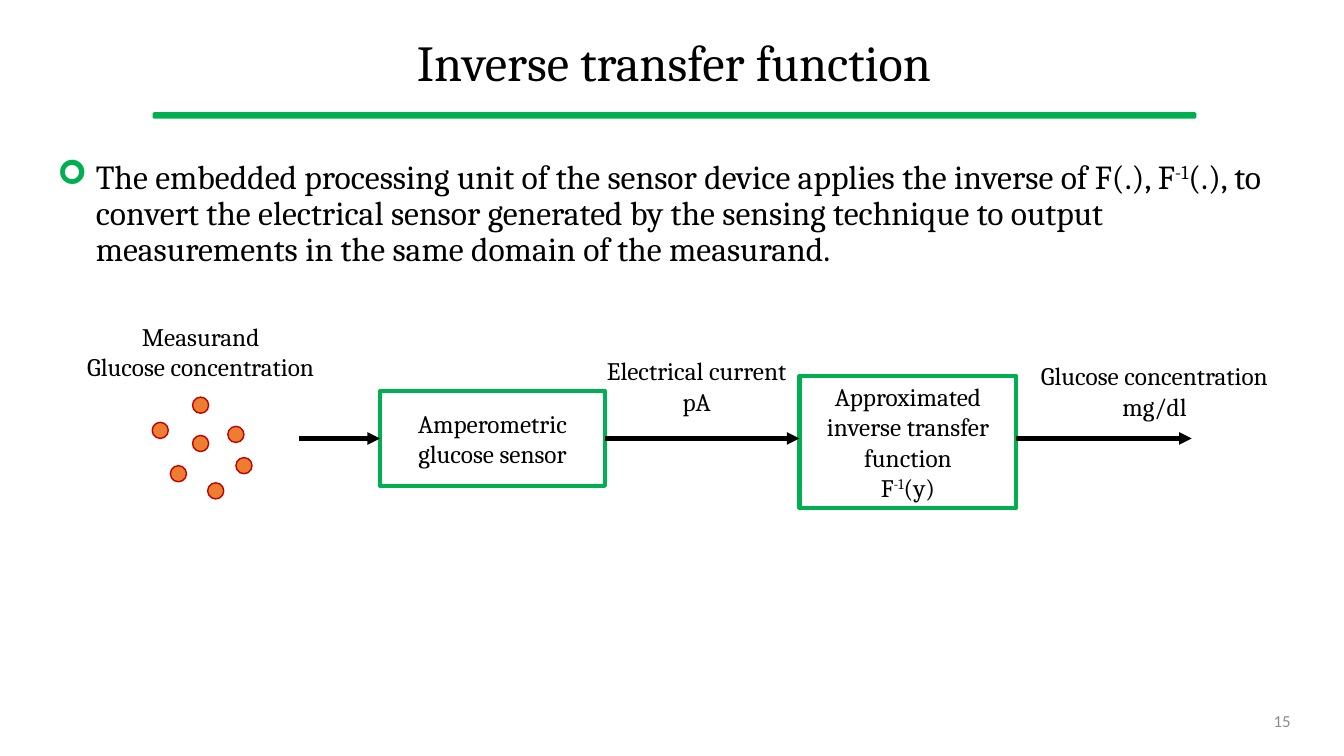
from typing import NamedTuple

from lxml.etree import SubElement
from pptx import Presentation
from pptx.dml.color import RGBColor
from pptx.enum.shapes import MSO_CONNECTOR, MSO_SHAPE
from pptx.enum.text import MSO_ANCHOR, MSO_AUTO_SIZE, PP_ALIGN
from pptx.oxml.ns import qn
from pptx.util import Emu, Pt

PX = 9144  # EMU per px, 100 px to the inch
COLORS = {
    "black": "000000",
    "white": "FFFFFF",
    "green": "00B050",
    "orange": "ED7D31",
    "red": "C00000",
    "gray": "8C8C8C",
}


class Box(NamedTuple):
    x: int
    y: int
    w: int
    h: int


class Label(NamedTuple):
    box: Box
    paragraphs: list[str]


class Arrow(NamedTuple):
    x1: int
    x2: int


# Text between bars is superscript
TITLE = Label(Box(47, 18, 1243, 94), ["Inverse transfer function"])
BODY = Label(Box(47, 154, 1230, 164), [
    "The embedded processing unit of the sensor device applies the inverse of "
    "F(.), F|-1|(.), to convert the electrical sensor generated by the sensing "
    "technique to output measurements in the same domain of the measurand."])
BLOCKS = [
    Label(Box(377, 388, 223, 94), ["Amperometric glucose sensor"]),
    Label(Box(793, 373, 215, 131),
          ["Approximated inverse transfer function", "F|-1|(y)"]),
]
SIGNALS = [
    Label(Box(53, 314, 292, 71), ["Measurand", "Glucose concentration"]),
    Label(Box(584, 348, 214, 71), ["Electrical current", "pA"]),
    Label(Box(1008, 353, 274, 71), ["Glucose concentration mg/dl"]),
]
PAGE = Label(Box(942, 695, 348, 40), ["15"])
ARROWS = [Arrow(297, 377), Arrow(600, 793), Arrow(1008, 1182)]
ARROW_Y = 435
DOT_SIZE = 16
DOTS = [(191, 394), (151, 419), (191, 432), (226, 423),
        (169, 462), (234, 454), (206, 479)]


def color(name: str) -> RGBColor:
    return RGBColor.from_string(COLORS[name])


def emu(box: Box) -> list[Emu]:
    return [Emu(v * PX) for v in box]


def place(sp, box: Box) -> None:
    sp.left, sp.top, sp.width, sp.height = emu(box)


def write(sp, paragraphs: list[str], size: int, align: PP_ALIGN,
          anchor: MSO_ANCHOR = MSO_ANCHOR.TOP, font: str = "Cambria",
          ink: str = "black", spacing: float = 1.0) -> None:
    tf = sp.text_frame
    tf.word_wrap = True
    tf.auto_size = MSO_AUTO_SIZE.NONE
    tf.vertical_anchor = anchor
    for i, text in enumerate(paragraphs):
        p = tf.paragraphs[0] if i == 0 else tf.add_paragraph()
        p.alignment = align
        p.line_spacing = spacing
        p.space_before = Pt(0)
        for j, part in enumerate(text.split("|")):
            r = p.add_run()
            r.text = part
            r.font.name = font
            r.font.size = Pt(size)
            r.font.color.rgb = color(ink)
            if j % 2:
                r.font._element.set("baseline", "30000")


def add_bullet(p, char: str, ink: str, indent: int) -> None:
    pPr = p._p.get_or_add_pPr()
    pPr.set("marL", str(indent * PX))
    pPr.set("indent", str(-indent * PX))
    clr = SubElement(pPr, qn("a:buClr"))
    SubElement(clr, qn("a:srgbClr"), val=COLORS[ink])
    SubElement(pPr, qn("a:buFont"), typeface="Wingdings")
    SubElement(pPr, qn("a:buChar"), char=char)


def add_shape(s, kind: MSO_SHAPE, box: Box, fill: str, line: str, width: int):
    sp = s.shapes.add_shape(kind, *emu(box))
    sp.shadow.inherit = False
    sp.fill.solid()
    sp.fill.fore_color.rgb = color(fill)
    sp.line.color.rgb = color(line)
    sp.line.width = Pt(width)
    return sp


def add_text(s, label: Label, size: int, align: PP_ALIGN, **style) -> None:
    write(s.shapes.add_textbox(*emu(label.box)), label.paragraphs, size, align,
          **style)


def add_arrow(s, arrow: Arrow) -> None:
    y = Emu(ARROW_Y * PX)
    cxn = s.shapes.add_connector(MSO_CONNECTOR.STRAIGHT, Emu(arrow.x1 * PX), y,
                                 Emu(arrow.x2 * PX), y)
    cxn.line.color.rgb = color("black")
    cxn.line.width = Pt(3)
    SubElement(cxn.line._get_or_add_ln(), qn("a:tailEnd"), type="triangle")
    SubElement(cxn._element.spPr, qn("a:effectLst"))


def main() -> None:
    prs = Presentation()
    prs.slide_width, prs.slide_height = Emu(1333 * PX), Emu(750 * PX)
    s = prs.slides.add_slide(prs.slide_layouts[1])

    # Title and its rule
    rule = add_shape(s, MSO_SHAPE.ROUNDED_RECTANGLE, Box(152, 112, 1034, 5),
                     "green", "green", 1)
    rule.adjustments[0] = 0.26
    title = s.shapes.title
    place(title, TITLE.box)
    write(title, TITLE.paragraphs, 36, PP_ALIGN.CENTER, MSO_ANCHOR.MIDDLE,
          spacing=0.9)

    # Bulleted statement
    body = s.placeholders[1]
    place(body, BODY.box)
    write(body, BODY.paragraphs, 24, PP_ALIGN.LEFT, spacing=0.9)
    add_bullet(body.text_frame.paragraphs[0], "➢", "green", 38)

    # Processing blocks
    for block in BLOCKS:
        sp = add_shape(s, MSO_SHAPE.RECTANGLE, block.box, "white", "green", 3)
        write(sp, block.paragraphs, 18, PP_ALIGN.CENTER, MSO_ANCHOR.MIDDLE)

    # Glucose molecules
    for x, y in DOTS:
        add_shape(s, MSO_SHAPE.OVAL, Box(x, y, DOT_SIZE, DOT_SIZE),
                  "orange", "red", 1)

    # Signals between the blocks
    for arrow in ARROWS:
        add_arrow(s, arrow)
    for signal in SIGNALS:
        add_text(s, signal, 18, PP_ALIGN.CENTER)

    # Page number
    add_text(s, PAGE, 12, PP_ALIGN.RIGHT, anchor=MSO_ANCHOR.MIDDLE,
             font="Calibri", ink="gray")

    prs.save("out.pptx")


if __name__ == "__main__":
    main()
